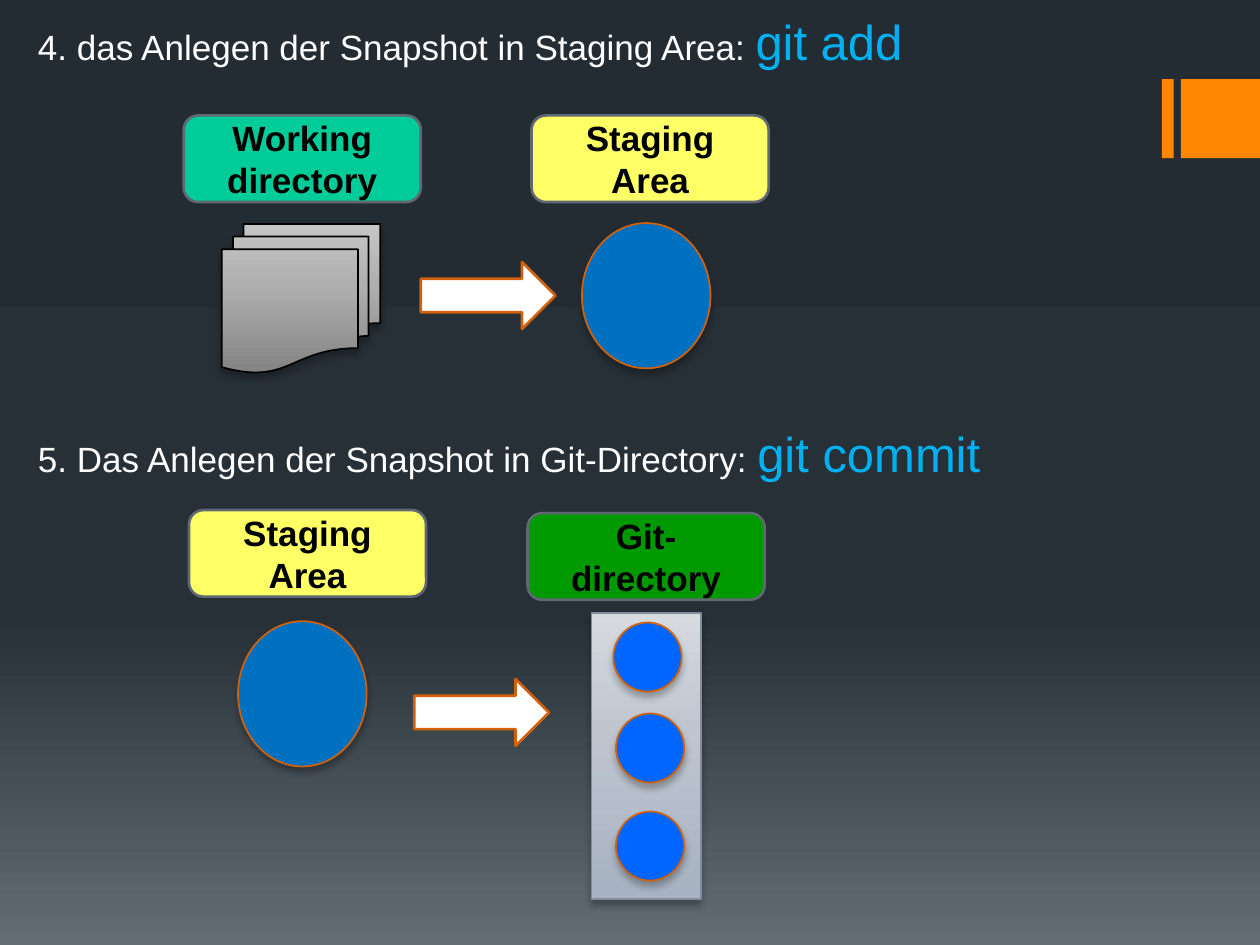
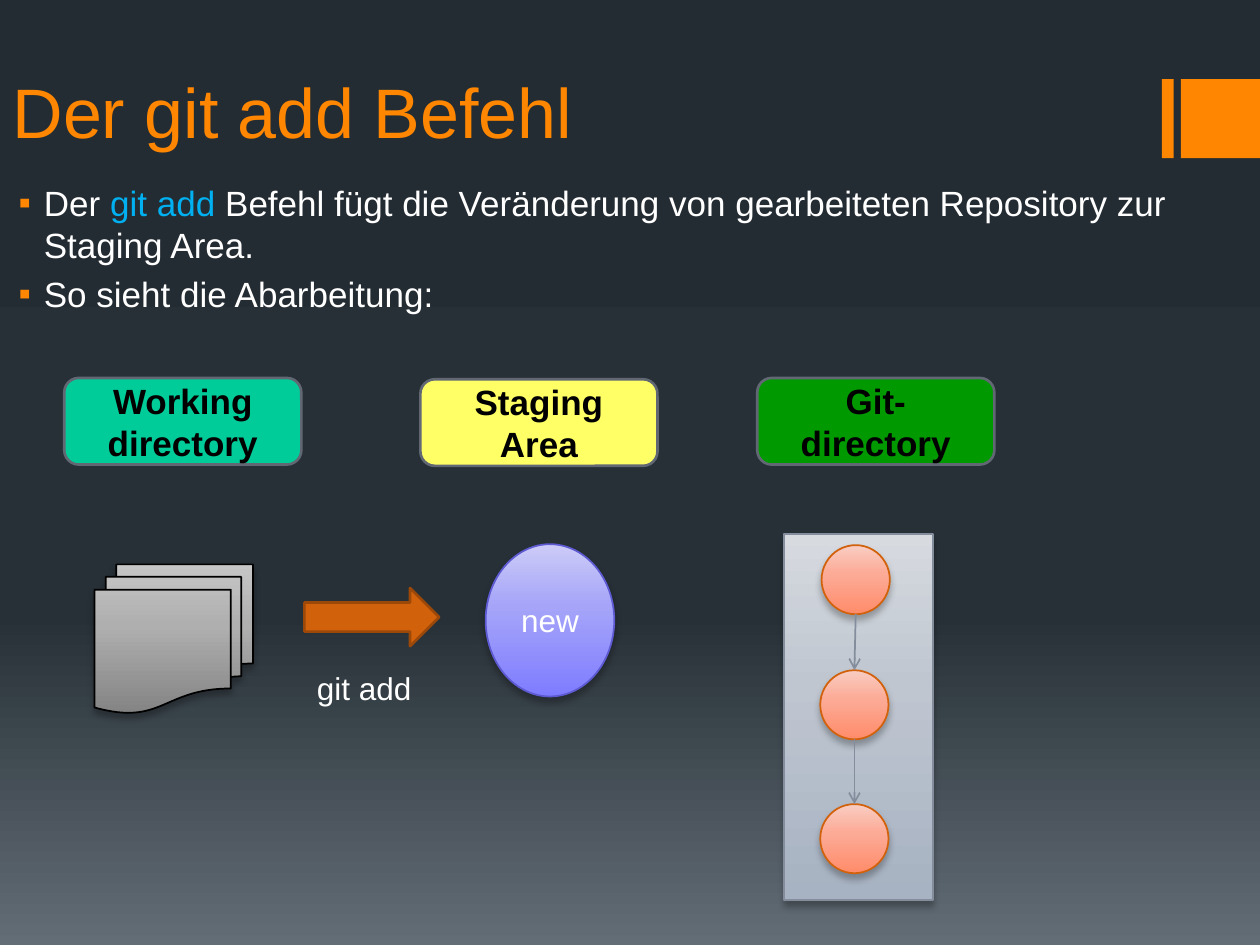
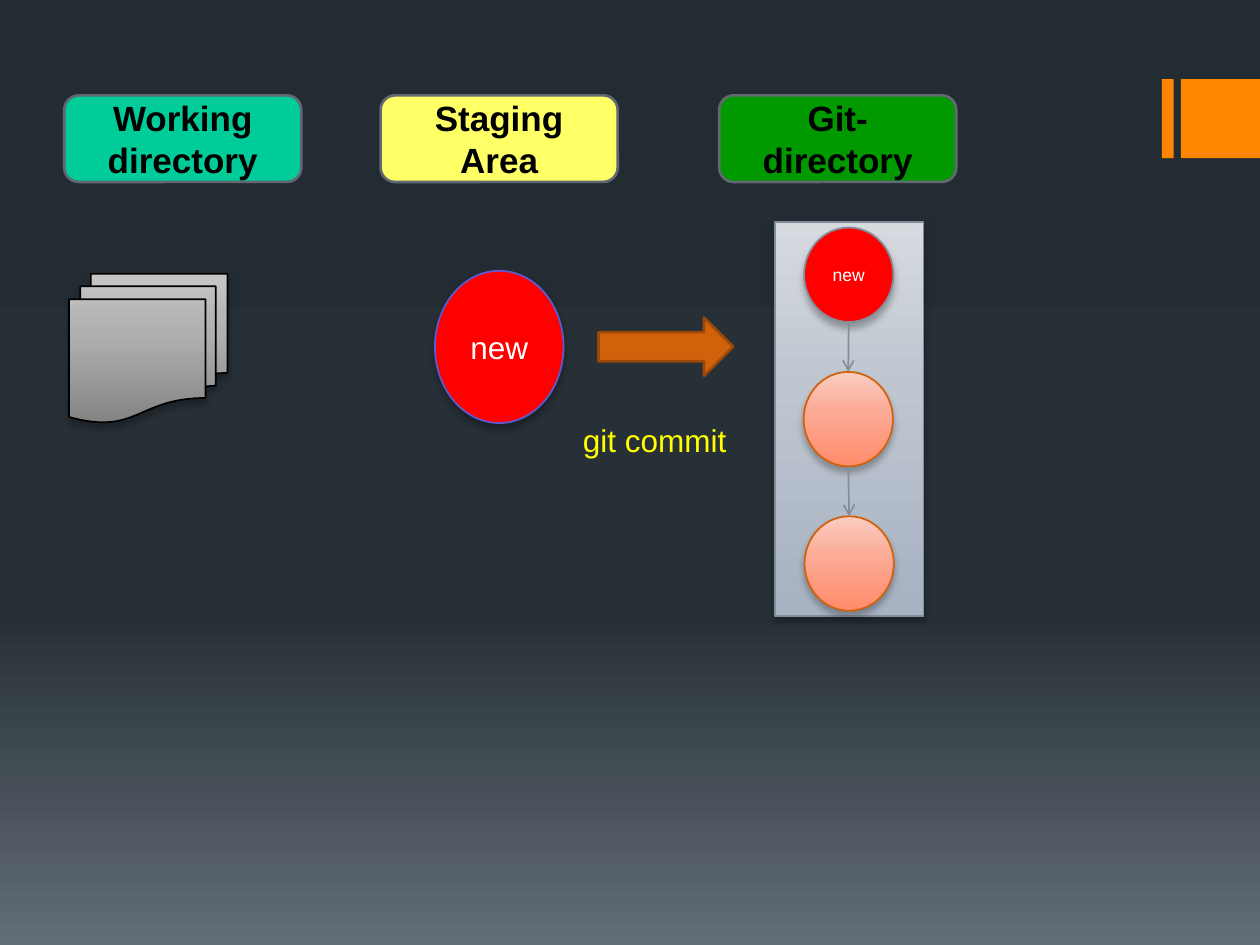
from copy import deepcopy

from lxml import etree
from pptx import Presentation
from pptx.dml.color import RGBColor
from pptx.enum import shapes, text
from pptx.oxml import ns
from pptx.util import Pt

KIND = shapes.MSO_SHAPE


# Colours, type sizes and part sizes
class Theme:
    font = "Arial"
    title, cmd, body, note, tiny = 40, 28, 20, 18, 10
    orange, white, black = "FF8600", "FFFFFF", "000000"
    sky, yellow = "00B0F0", "FFFF00"
    rust, brown, gray, edge = "D2610C", "9B4809", "838D9B", "616873"
    back = ((0, "242C33"), (65, "273037"), (100, "636D76"))
    paper = ((0, "C6C6C6"), (41, "AFAFAF"), (100, "848484"))
    steel = ((0, "D7DBE0"), (41, "BFC6D0"), (100, "A7B2C2"))
    # Looks of a commit: fill and line
    blue = ("0070C0", rust)
    old = (((0, "F9CDC2"), (41, "FCAB97"), (100, "FF8C6A")), rust)
    lilac = (((0, "CCCBF8"), (41, "A5A4F9"), (100, "7F7DFF")), "5D5AD2")
    saved = ("0066FF", rust)
    fresh = ("FF0000", "5D5AD2")
    moved = ("FF0000", gray)
    tags = {"Working directory": "00CC99", "Staging Area": "FFFF66",
            "Git-directory": "009900"}
    tag, docs = (135.5, 49.5), (90.5, 85)


def rgb(code):
    return RGBColor.from_string(code)


def child(node, name, **attrs):
    return etree.SubElement(node, ns.qn(name), attrs)


def paint(fill, owner, look):
    """Fill with one colour, or with three stops from top to bottom."""
    if isinstance(look, str):
        fill.solid()
        fill.fore_color.rgb = rgb(look)
        return
    fill.gradient()
    fill.gradient_angle = 270
    stops = owner.element.find(".//" + ns.qn("a:gsLst"))
    stops.insert(1, deepcopy(stops[0]))
    for stop, (pos, code) in zip(fill.gradient_stops, look):
        stop.position = pos / 100
        stop.color.rgb = rgb(code)


def style(run, size, color, bold=False):
    run.font.name = Theme.font
    run.font.size = Pt(size)
    run.font.bold = bold
    run.font.color.rgb = rgb(color)


def fill_in(para, parts):
    """Add runs given as (words, size, colour)."""
    for words, size, color in parts:
        run = para.add_run()
        run.text = words
        style(run, size, color)


def put(slide, kind, box, look, line=None, width=1.0, shade=False):
    part = slide.shapes.add_shape(kind, *map(Pt, box))
    part.shadow.inherit = False
    paint(part.fill, part, look)
    if line:
        part.line.color.rgb = rgb(line)
        part.line.width = Pt(width)
    else:
        part.line.fill.background()
    if shade:
        glow = child(part.element.spPr.find(ns.qn("a:effectLst")),
                     "a:outerShdw", blurRad=str(Pt(4)), dist=str(Pt(3)),
                     dir="5400000", algn="ctr", rotWithShape="0")
        child(child(glow, "a:srgbClr", val=Theme.black),
              "a:alpha", val="28000")
    return part


def label(part, words, size, color, bold=False):
    frame = part.text_frame
    frame.text = words
    frame.word_wrap = True
    frame.vertical_anchor = text.MSO_ANCHOR.MIDDLE
    para = frame.paragraphs[0]
    para.alignment = text.PP_ALIGN.CENTER
    style(para.runs[0], size, color, bold)


# Parts of the diagrams
def tag(slide, x, y, name):
    part = put(slide, KIND.ROUNDED_RECTANGLE, (x, y, *Theme.tag),
               Theme.tags[name], Theme.edge, 1.5)
    label(part, name, Theme.body, Theme.black, True)


def docs(slide, x, y):
    put(slide, KIND.FLOWCHART_MULTIDOCUMENT, (x, y, *Theme.docs),
        Theme.paper, Theme.black, shade=True)


def dot(slide, box, look, words="", size=Theme.note):
    part = put(slide, KIND.OVAL, box, *look, shade=True)
    if words:
        label(part, words, size, Theme.white)
    return part


def arrow(slide, x, y, high, look, line):
    put(slide, KIND.RIGHT_ARROW, (x, y, 77, high), look, line, 1.5)


def link(slide, start, end):
    wire = slide.shapes.add_connector(
        shapes.MSO_CONNECTOR.STRAIGHT, *map(Pt, start + end))
    wire.line.color.rgb = rgb(Theme.gray)
    wire.line.width = Pt(1)
    props = wire.element.spPr
    child(props.find(ns.qn("a:ln")), "a:tailEnd", type="arrow")
    child(props, "a:effectLst")


def chain(slide, box, size, spots, looks, linked=True, turn=0):
    """Column of commits; spots are offsets from the column's corner."""
    x, y = box[:2]
    wide, high = size
    put(slide, KIND.RECTANGLE, box, Theme.steel, Theme.gray, shade=True)
    dots = []
    for (dx, dy), look in zip(spots, looks):
        part = dot(slide, (x + dx, y + dy, wide, high), look)
        part.rotation = turn
        dots.append(part)
    if linked:
        for (ax, ay), (bx, by) in zip(spots, spots[1:]):
            link(slide, (x + ax + wide / 2, y + ay + high),
                 (x + bx + wide / 2, y + by))
    return dots


def note(slide, box, words, color):
    frame = slide.shapes.add_textbox(*map(Pt, box)).text_frame
    frame.text = words
    frame.word_wrap = False
    frame.auto_size = text.MSO_AUTO_SIZE.SHAPE_TO_FIT_TEXT
    style(frame.paragraphs[0].runs[0], Theme.note, color)


def step(slide, y, words, cmd):
    frame = slide.shapes.add_textbox(
        Pt(21.7), Pt(y), Pt(630), Pt(34)).text_frame
    frame.word_wrap = True
    frame.margin_left = frame.margin_top = frame.margin_bottom = 0
    fill_in(frame.paragraphs[0], [(words + " ", Theme.body, Theme.white),
                                  (cmd, Theme.cmd, Theme.sky)])


def head(slide, box, words):
    spot = slide.shapes.title
    spot.left, spot.top, spot.width, spot.height = map(Pt, box)
    frame = spot.text_frame
    frame.text = words
    frame.auto_size = text.MSO_AUTO_SIZE.NONE
    frame.vertical_anchor = text.MSO_ANCHOR.BOTTOM
    para = frame.paragraphs[0]
    para.alignment = text.PP_ALIGN.LEFT
    style(para.runs[0], Theme.title, Theme.orange)


def points(slide, box, rows):
    frame = slide.shapes.add_textbox(*map(Pt, box)).text_frame
    frame.word_wrap = True
    for i, row in enumerate(rows):
        para = frame.add_paragraph() if i else frame.paragraphs[0]
        para.space_before = Pt(4)
        fill_in(para, [(words, Theme.body, color) for words, color in row])
        props = para._p.get_or_add_pPr()
        props.set("marL", str(Pt(18)))
        props.set("indent", str(Pt(-14.4)))
        child(child(props, "a:buClr"), "a:srgbClr", val=Theme.orange)
        child(props, "a:buFont", typeface=Theme.font)
        child(props, "a:buChar", char="▪")


# Background and bands on the master
def master(deck, slide):
    base = deck.slide_master
    paint(base.background.fill, base, Theme.back)
    for x, wide in ((664, 6.75), (674.75, 45.25)):
        band = put(slide, KIND.RECTANGLE, (x, 45.25, wide, 45.25),
                   Theme.orange)
        base.shapes.element.append(band.element)


# Slides
def steps(slide):
    step(slide, 6.5, "4. das Anlegen der Snapshot in Staging Area:", "git add")
    tag(slide, 105, 66, "Working directory")
    tag(slide, 303.75, 66, "Staging Area")
    docs(slide, 126.75, 128)
    arrow(slide, 240.5, 149.75, 38.25, Theme.white, Theme.rust)
    dot(slide, (332.5, 127.5, 73.5, 83), Theme.blue)

    step(slide, 242, "5. Das Anlegen der Snapshot in Git-Directory:",
         "git commit")
    tag(slide, 108, 291.5, "Staging Area")
    tag(slide, 301.5, 293.25, "Git-directory")
    dot(slide, (136, 355, 73.5, 83), Theme.blue)
    arrow(slide, 236.75, 388, 38.25, Theme.white, Theme.rust)
    chain(slide, (338, 350.25, 62.5, 163.5), (39, 39.5),
          [(12.5, 5.5), (14, 57.5), (14, 113.5)], [Theme.saved] * 3,
          linked=False, turn=2.6)


def adding(slide):
    head(slide, (0, 0, 666, 90.75), "Der git add Befehl")
    points(slide, (0, 100, 720, 440), [
        [("Der ", Theme.white), ("git add ", Theme.sky),
         ("Befehl fügt die Veränderung von gearbeiteten Repository zur "
          "Staging Area.", Theme.white)],
        [("So sieht die Abarbeitung:", Theme.white)]])
    tag(slide, 36.75, 216, "Working directory")
    tag(slide, 240.25, 216.75, "Staging Area")
    tag(slide, 432.75, 216, "Git-directory")
    docs(slide, 54, 322.5)
    arrow(slide, 174, 336, 33.25, Theme.rust, Theme.brown)
    note(slide, (174, 378.75, 69, 29), "git add", Theme.white)
    dot(slide, (277.5, 311, 73.5, 87), Theme.lilac, "new")
    chain(slide, (448, 305, 85, 209.5), (39, 39.5),
          [(21.5, 6.5), (20.75, 78), (20.75, 154.5)], [Theme.old] * 3)


def commit(slide):
    for x, name in zip((36.75, 217.5, 411), Theme.tags):
        tag(slide, x, 54.5, name)
    docs(slide, 39.5, 156.5)
    dot(slide, (248.5, 154.75, 73.5, 87), Theme.fresh, "new")
    arrow(slide, 342, 181.5, 33.25, Theme.rust, Theme.brown)
    note(slide, (326, 236.75, 97, 29), "git commit", Theme.yellow)
    dots = chain(slide, (442.75, 126.75, 85, 225.25), (51, 54),
                 [(16.75, 3.25), (16.5, 85.75), (17, 168.25)],
                 [Theme.moved, Theme.old, Theme.old])
    label(dots[0], "new", Theme.tiny, Theme.white)


def main():
    deck = Presentation()
    deck.slide_width, deck.slide_height = Pt(720), Pt(540)
    plain, titled = deck.slide_layouts[6], deck.slide_layouts[5]
    first = deck.slides.add_slide(plain)
    master(deck, first)
    steps(first)
    adding(deck.slides.add_slide(titled))
    commit(deck.slides.add_slide(plain))
    deck.save("out.pptx")


if __name__ == "__main__":
    main()
